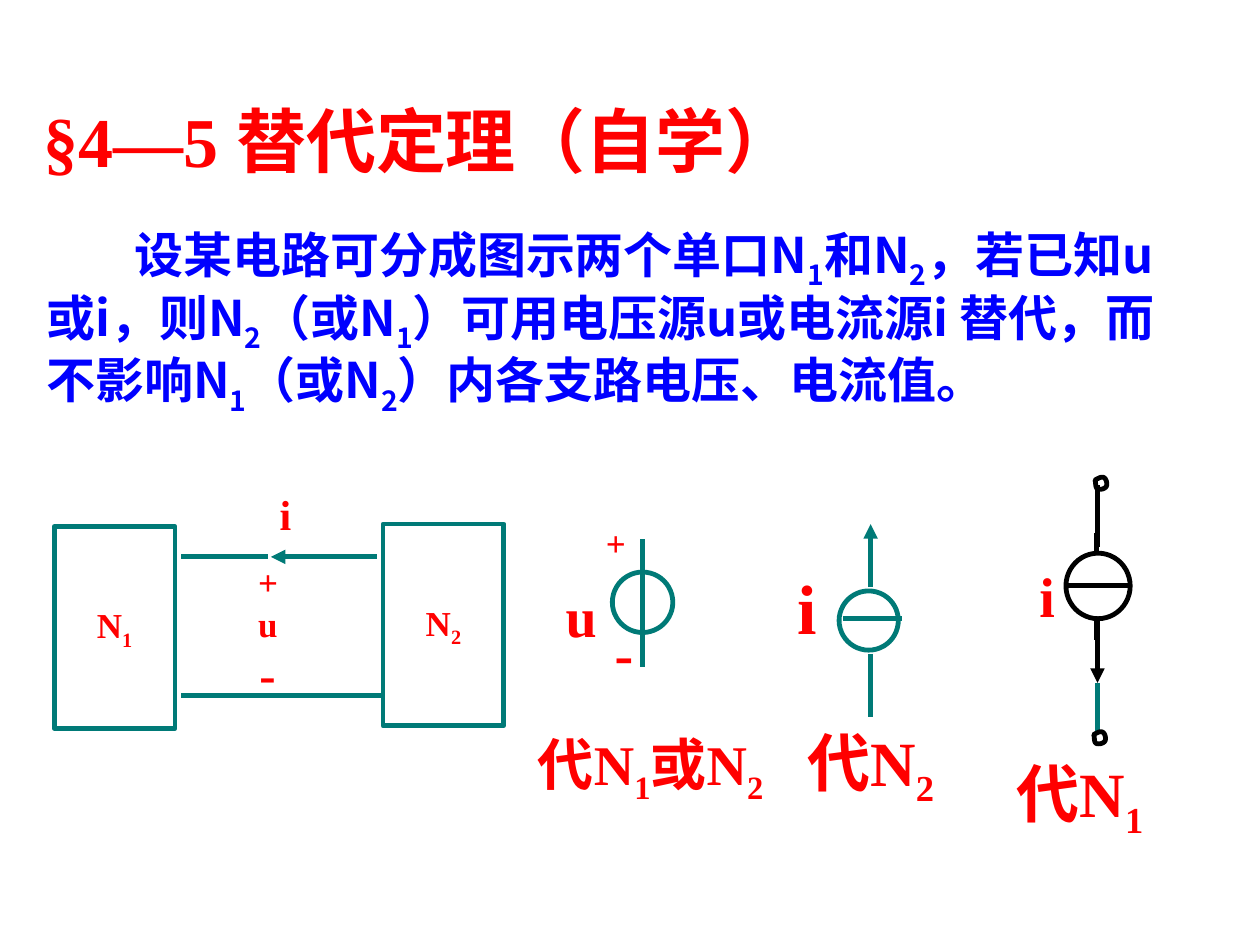
from lxml.etree import SubElement
from pptx import Presentation
from pptx.dml.color import RGBColor
from pptx.enum.shapes import MSO_CONNECTOR, MSO_SHAPE as SHAPE
from pptx.enum.text import MSO_ANCHOR as ANCHOR, PP_ALIGN as ALIGN
from pptx.oxml.ns import qn
from pptx.util import Inches, Pt

COLUMNS, ROWS = 10, 7.5
COLORS = {"red": "FF0000", "blue": "0000FF", "teal": "007A77",
          "black": "000000", "white": "FFFFFF"}
SERIF, SANS = "Times New Roman", "Noto Sans CJK SC"
LINE_WIDTH = 2.75
CURVE_STEPS = 8

TITLE = "§4—5 替代定理（自学）"
STATEMENT = ("设某电路可分成图示两个单口N|1|和N|2|，若已知u或i，则N|2|（或N|1|）"
             "可用电压源u或电流源i 替代，而不影响N|1|（或N|2|）内各支路电压、电流值。")

HEADINGS = [
    (TITLE, (0.25, 0.78, 6.83, 0.77), 40, {}),
    (STATEMENT, (0.27, 1.73, 9.21, 2.22), 28,
     {"color": "blue", "font": SANS, "indent": 0.7}),
]
CAPTIONS = [
    ("代N|1|或N|2", (4.17, 5.74, 2.3, 1.32), 32, {}),
    ("代N|2", (6.31, 5.69, 2.11, 0.79), 36, {}),
    ("代N|1", (7.97, 5.94, 2.03, 0.79), 36, {}),
]
SYMBOLS = [
    ("i", (2.12, 3.83, 0.68, 0.5), 24, {}),
    ("+", (1.95, 4.4, 0.85, 0.44), 20, {}),
    ("u", (1.95, 4.73, 0.84, 0.44), 20, {}),
    ("-", (1.96, 5.06, 0.92, 0.57), 28, {}),
    ("u", (4.39, 4.57, 0.99, 0.64), 32, {}),
    ("+", (4.71, 4.09, 0.84, 0.44), 20, {}),
    ("-", (4.78, 4.86, 0.85, 0.64), 32, {}),
    ("i", (6.23, 4.43, 0.35, 0.77), 40, {"align": ALIGN.CENTER, "wrap": False}),
    ("i", (7.82, 4.41, 0.85, 0.73), 32, {"indent": 0.33}),
]
NETWORKS = [("N|1", (0.43, 4.18, 0.96, 1.6)), ("N|2", (3.04, 4.16, 0.96, 1.6))]
SOURCES = [
    (SHAPE.OVAL, (4.86, 4.54, 0.48, 0.48), "teal", "white"),
    (SHAPE.OVAL, (6.66, 4.69, 0.47, 0.47), "teal", "white"),
    (SHAPE.FLOWCHART_CONNECTOR, (8.46, 4.39, 0.51, 0.52), "black", None),
]
WIRES = [
    ("teal", (1.44, 5.52), (3.05, 5.52)),
    ("teal", (1.44, 4.42), (2.13, 4.42)),
    ("teal", (5.1, 4.28), (5.1, 5.29)),
    ("teal", (6.91, 5.19), (6.91, 5.69)),
    ("teal", (6.69, 4.91), (7.16, 4.91)),
    ("black", (8.45, 4.65), (8.97, 4.65)),
    ("black", (8.7, 4.9), (8.7, 5.08)),
    ("black", (8.7, 4.39), (8.7, 4.23)),
    ("black", (8.71, 3.85), (8.71, 4.34)),
    ("teal", (8.71, 5.42), (8.71, 5.8)),
]
ARROWS = [
    ("teal", (2.99, 4.42), (2.15, 4.42)),
    ("teal", (6.91, 4.66), (6.91, 4.16)),
    ("black", (8.71, 4.93), (8.71, 5.42)),
]
TERMINALS = [(8.69, 3.78), (8.68, 5.8)]
TERMINAL_START = (0, 0.03)
TERMINAL_CURVES = [
    ((0.02, 0.02), (0.05, 0), (0.07, 0.01)),
    ((0.09, 0.02), (0.1, 0.06), (0.09, 0.08)),
    ((0.08, 0.1), (0.04, 0.11), (0.02, 0.1)),
    ((0, 0.09), (0.01, 0.05), (0, 0.03)),
]

presentation = Presentation()
presentation.slide_width, presentation.slide_height = Inches(10), Inches(7.5)
slide = presentation.slides.add_slide(presentation.slide_layouts[6])
column = presentation.slide_width / COLUMNS
row = presentation.slide_height / ROWS


def place(lengths):
    return [round(length * (row if index % 2 else column))
            for index, length in enumerate(lengths)]


def rgb(name):
    return RGBColor.from_string(COLORS[name])


def write(frame, text, size, color="red", font=SERIF, indent=0,
          align=None, wrap=True, anchor=ANCHOR.TOP):
    settings = {"word_wrap": wrap, "vertical_anchor": anchor}
    for name, value in settings.items():
        setattr(frame, name, value)
    paragraph = frame.paragraphs[0]
    paragraph.alignment = align
    if any(ord(letter) > 0x3000 for letter in text):
        paragraph.line_spacing = 0.94
    if indent:
        paragraph._p.get_or_add_pPr().set("indent", str(round(indent * column)))
    for index, part in enumerate(text.split("|")):
        run = paragraph.add_run()
        run.text = part
        for name, value in {"name": font, "size": Pt(size), "bold": True}.items():
            setattr(run.font, name, value)
        run.font.color.rgb = rgb(color)
        properties = run._r.get_or_add_rPr()
        SubElement(properties, qn("a:ea")).set("typeface", SANS)
        if index % 2:
            properties.set("baseline", "-25000")


def outline(shape, color, fill=None):
    shape.shadow.inherit = False
    shape.line.color.rgb = rgb(color)
    shape.line.width = Pt(LINE_WIDTH)
    if fill:
        shape.fill.solid()
        shape.fill.fore_color.rgb = rgb(fill)
    else:
        shape.fill.background()
    return shape


def draw_line(color, start, end, arrow=False):
    connector = slide.shapes.add_connector(
        MSO_CONNECTOR.STRAIGHT, *place(start + end))
    connector.line.color.rgb = rgb(color)
    connector.line.width = Pt(LINE_WIDTH)
    if arrow:
        SubElement(connector.line._get_or_add_ln(), qn("a:tailEnd")).set("type", "triangle")
    SubElement(connector._element.spPr, qn("a:effectLst"))


def curve_points(start, curves):
    points = []
    for first, second, end in curves:
        for step in range(1, CURVE_STEPS + 1):
            t = step / CURVE_STEPS
            weights = ((1 - t) ** 3, 3 * t * (1 - t) ** 2, 3 * t * t * (1 - t), t ** 3)
            corners = (start, first, second, end)
            points.append(tuple(sum(weight * corner[axis] for weight, corner
                                    in zip(weights, corners)) for axis in (0, 1)))
        start = end
    return points


def draw_terminal(left, top):
    start, *points = [place((left + x, top + y)) for x, y in
                      [TERMINAL_START] + curve_points(TERMINAL_START, TERMINAL_CURVES)]
    builder = slide.shapes.build_freeform(*start)
    builder.add_line_segments(points, close=True)
    outline(builder.convert_to_shape(), "black")


for label, box in NETWORKS:
    rectangle = outline(slide.shapes.add_shape(SHAPE.RECTANGLE, *place(box)), "teal", "white")
    write(rectangle.text_frame, label, 20, align=ALIGN.CENTER, wrap=False, anchor=ANCHOR.MIDDLE)
for kind, box, color, fill in SOURCES:
    outline(slide.shapes.add_shape(kind, *place(box)), color, fill)
for wire in WIRES:
    draw_line(*wire)
for arrow in ARROWS:
    draw_line(*arrow, arrow=True)
for terminal in TERMINALS:
    draw_terminal(*terminal)
for text, box, size, options in HEADINGS + CAPTIONS + SYMBOLS:
    write(slide.shapes.add_textbox(*place(box)).text_frame, text, size, **options)

presentation.save("out.pptx")
